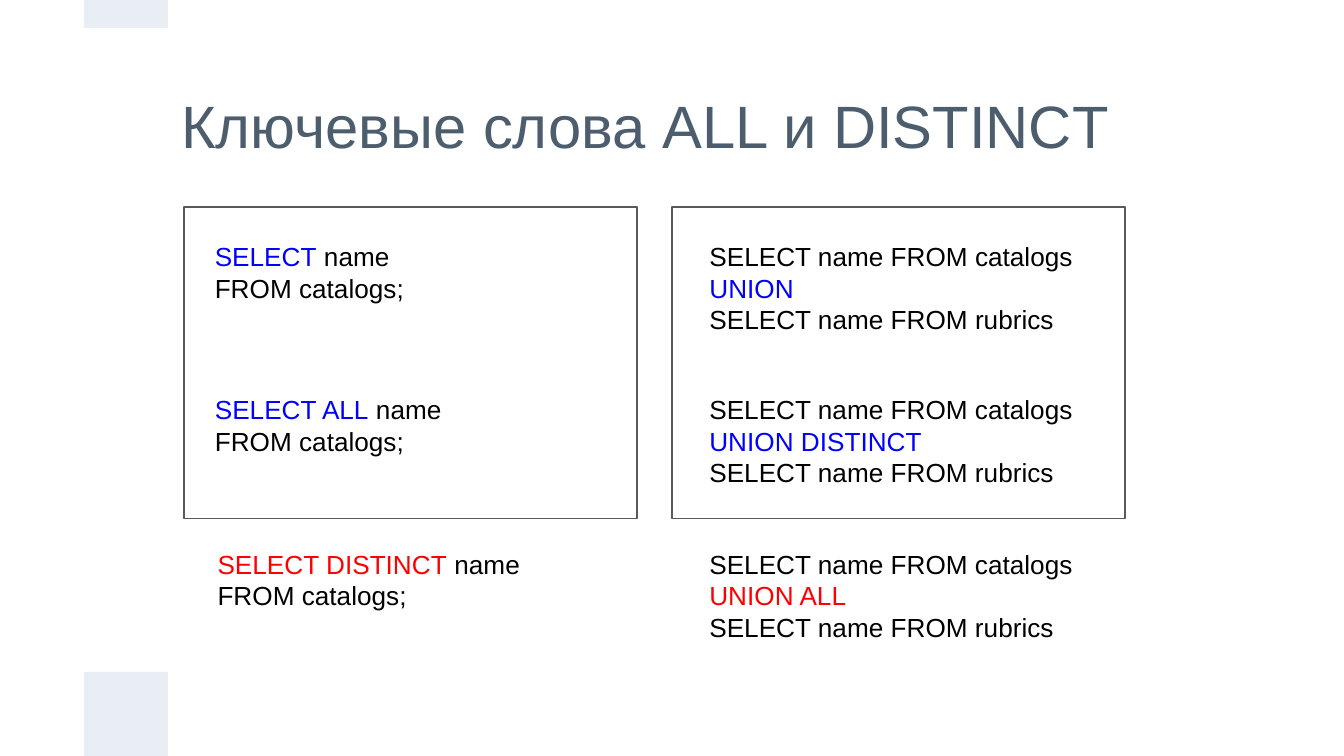
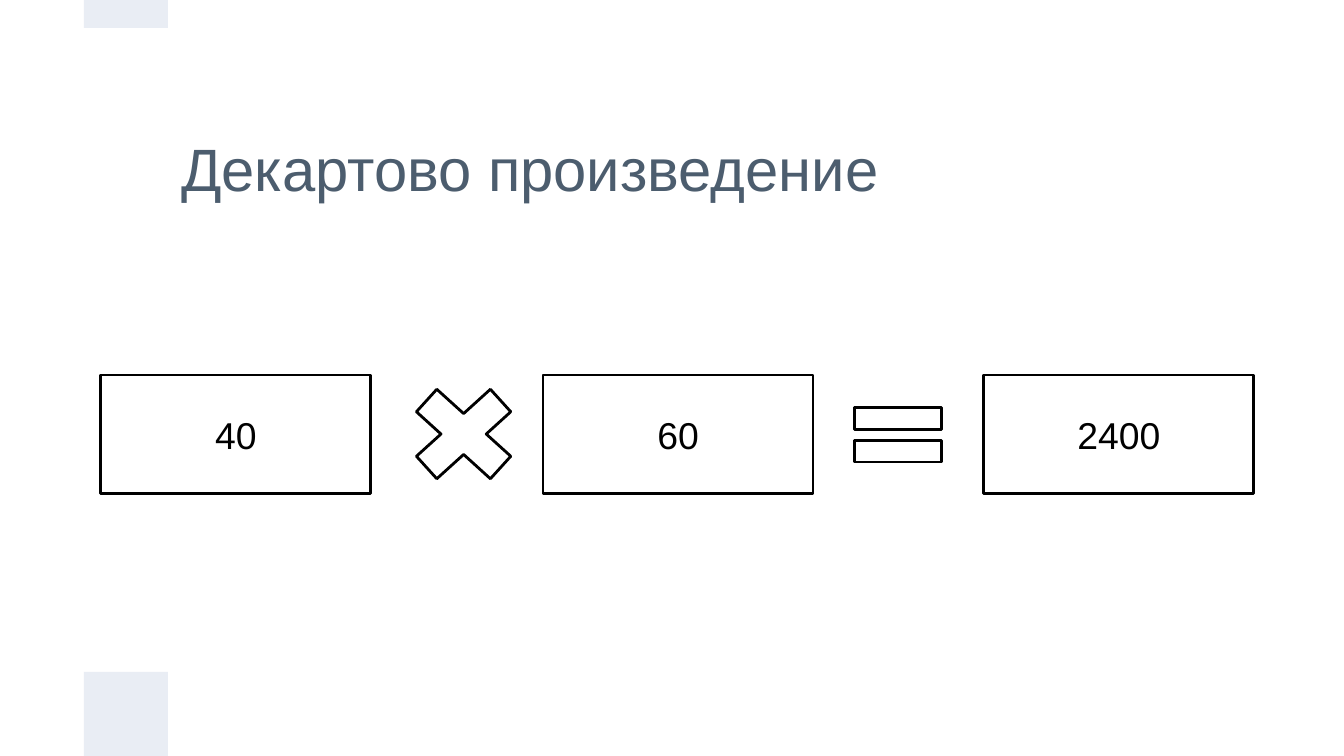
from pptx import Presentation
from pptx.dml.color import RGBColor
from pptx.enum.shapes import MSO_SHAPE
from pptx.enum.text import MSO_ANCHOR, PP_ALIGN
from pptx.util import Inches, Pt

COLORS = {
    "title": "4C5D6E",
    "band": "E9EDF4",
    "text": "000000",
    "same": "0000FF",
    "different": "FF0000",
    "frame": "595959",
}
FONT = "Arial"
MARGIN = 0.1
SLIDE_WIDTH = 10
SLIDE_HEIGHT = SLIDE_WIDTH * 9 / 16
BAND = SLIDE_WIDTH / 16


def color(name):
    return RGBColor.from_string(COLORS[name])


def write_text(shape, lines, size=14, align=PP_ALIGN.LEFT, anchor=MSO_ANCHOR.TOP):
    """Fill a shape with lines, each a list of (text, colour name) runs."""
    frame = shape.text_frame
    frame.word_wrap = True
    frame.vertical_anchor = anchor
    frame.margin_left = frame.margin_right = Inches(MARGIN)
    frame.margin_top = frame.margin_bottom = Inches(MARGIN)
    for index, line in enumerate(lines):
        paragraph = frame.add_paragraph() if index else frame.paragraphs[0]
        paragraph.alignment = align
        for text, color_name in line:
            run = paragraph.add_run()
            run.text = text
            run.font.name = FONT
            run.font.size = Pt(size)
            run.font.color.rgb = color(color_name)


def add_text(slide, left, top, width, height, lines, **text_format):
    box = slide.shapes.add_textbox(
        Inches(left), Inches(top), Inches(width), Inches(height))
    write_text(box, lines, **text_format)


def add_shape(slide, kind, left, top, width, height, fill=None, line=None, line_width=1.5):
    shape = slide.shapes.add_shape(
        kind, Inches(left), Inches(top), Inches(width), Inches(height))
    shape.shadow.inherit = False
    if fill:
        shape.fill.solid()
        shape.fill.fore_color.rgb = color(fill)
    else:
        shape.fill.background()
    if line:
        shape.line.color.rgb = color(line)
        shape.line.width = Pt(line_width)
    else:
        shape.line.fill.background()
    return shape


def add_titled_slide(presentation, title, top, height):
    """Start a slide with the shared title style and the two left bands."""
    slide = presentation.slides.add_slide(presentation.slide_layouts[6])
    add_text(slide, 1.25, top, 7.5, height, [[(title, "title")]],
             size=32, anchor=MSO_ANCHOR.MIDDLE)
    for band_top, band_height in ((SLIDE_HEIGHT - BAND, BAND), (0, BAND / 3)):
        add_shape(slide, MSO_SHAPE.RECTANGLE, BAND, band_top, BAND, band_height, fill="band")
    return slide


def build_keywords(presentation):
    slide = add_titled_slide(presentation, "Ключевые слова ALL и DISTINCT", 0.5, 0.86)

    # Query pairs: top, SELECT form with its left and width, UNION form with its width, colour
    rows = [
        (1.69, "SELECT", 1.5, 1.73, "UNION", 3.01, "same"),
        (2.83, "SELECT ALL", 1.5, 1.92, "UNION DISTINCT", 3.26, "same"),
        (3.98, "SELECT DISTINCT", 1.52, 2.48, "UNION ALL", 3.26, "different"),
    ]
    for top, select, left, select_width, union, union_width, accent in rows:
        add_text(slide, left, top, select_width, 0.67, [
            [(select, accent), (" name", "text")],
            [("FROM catalogs;", "text")],
        ])
        add_text(slide, 5.18, top, union_width, 0.94, [
            [("SELECT name FROM catalogs", "text")],
            [(union, accent)],
            [("SELECT name FROM rubrics", "text")],
        ])

    # Frames around the equivalent queries
    for left in (5, 1.37):
        add_shape(slide, MSO_SHAPE.RECTANGLE, left, 1.54, 3.37, 2.32,
                  line="frame", line_width=0.75)


def build_product(presentation):
    slide = add_titled_slide(presentation, "Декартово произведение", 0.62, 1.25)

    # Row counts
    for left, count in ((0.75, "40"), (4.04, "60"), (7.32, "2400")):
        box = add_shape(slide, MSO_SHAPE.RECTANGLE, left, 2.79, 2.01, 0.88, line="text")
        write_text(box, [[(count, "text")]], size=20,
                   align=PP_ALIGN.CENTER, anchor=MSO_ANCHOR.MIDDLE)

    # Operators between the boxes
    add_shape(slide, MSO_SHAPE.MATH_EQUAL, 6.24, 2.89, 0.88, 0.69, line="text")
    add_shape(slide, MSO_SHAPE.MATH_MULTIPLY, 2.92, 2.75, 1.06, 0.96, line="text")


def main():
    presentation = Presentation()
    presentation.slide_width = Inches(SLIDE_WIDTH)
    presentation.slide_height = Inches(SLIDE_HEIGHT)
    build_keywords(presentation)
    build_product(presentation)
    presentation.save("out.pptx")


if __name__ == "__main__":
    main()
